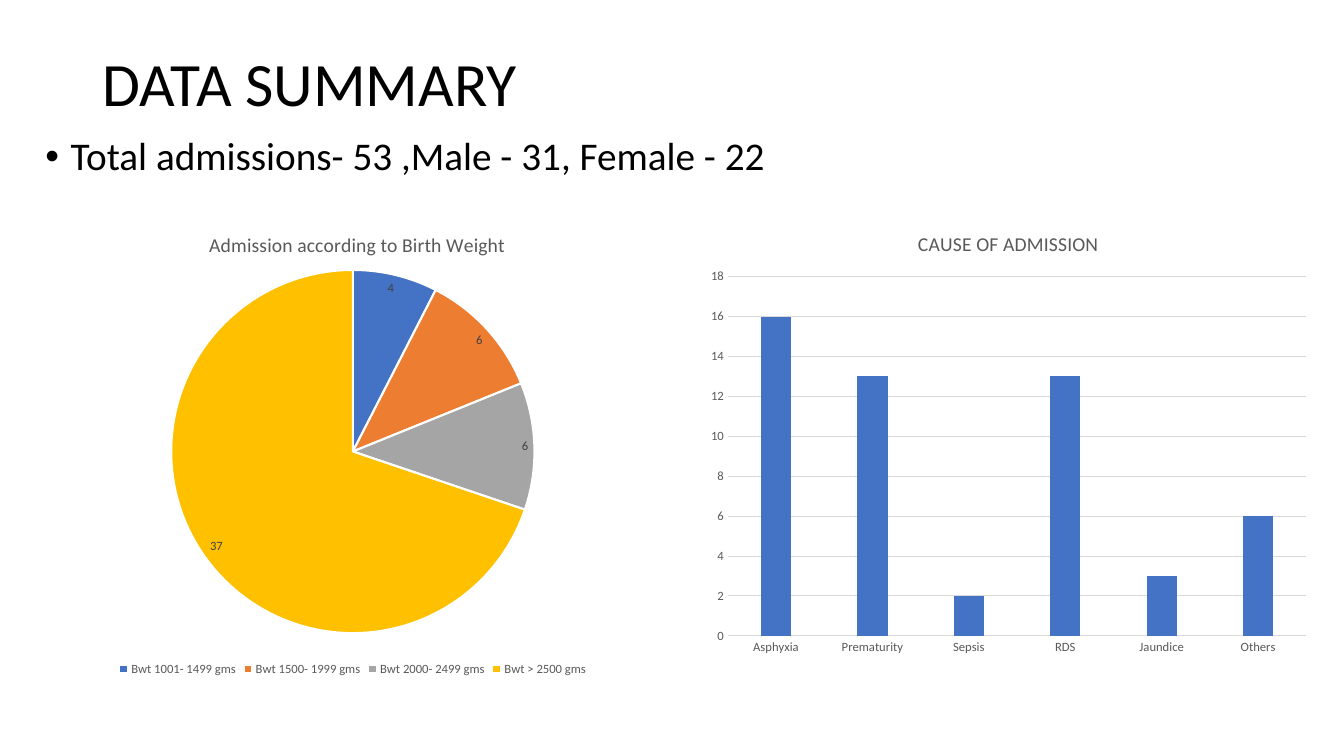
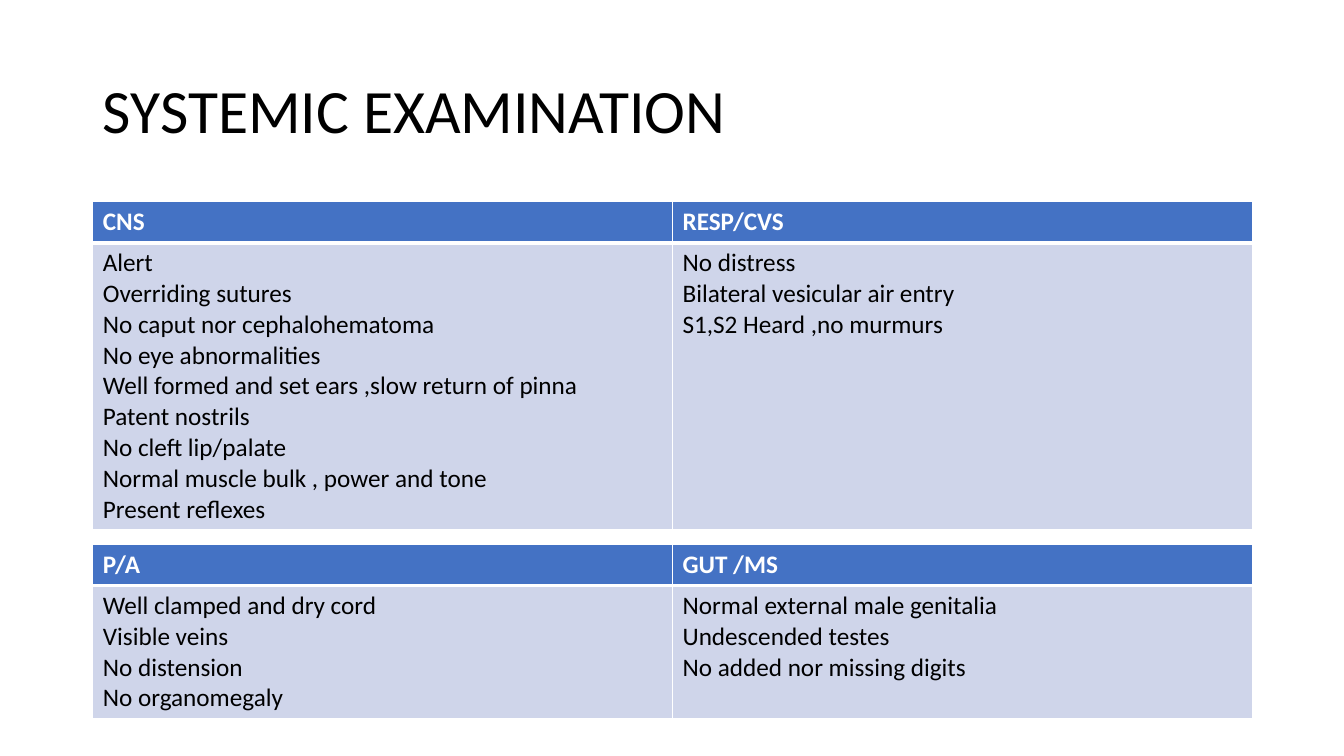
from dataclasses import dataclass

from lxml import etree
from pptx import Presentation
from pptx.chart.data import CategoryChartData
from pptx.dml.color import RGBColor
from pptx.enum.chart import XL_CHART_TYPE, XL_LABEL_POSITION, XL_LEGEND_POSITION, XL_TICK_MARK
from pptx.enum.text import MSO_ANCHOR, MSO_AUTO_SIZE, PP_ALIGN
from pptx.oxml.ns import qn
from pptx.util import Inches, Pt

PIE = XL_CHART_TYPE.PIE
COLUMN = XL_CHART_TYPE.COLUMN_CLUSTERED
INSIDE_END = XL_LABEL_POSITION.INSIDE_END
LEGEND_BOTTOM = XL_LEGEND_POSITION.BOTTOM
NO_TICK = XL_TICK_MARK.NONE
MIDDLE, TOP = MSO_ANCHOR.MIDDLE, MSO_ANCHOR.TOP
LEFT = PP_ALIGN.LEFT
NO_AUTOFIT = MSO_AUTO_SIZE.NONE
TITLE_AND_CONTENT, TITLE_ONLY = 1, 5


@dataclass(frozen=True)
class Theme:
    font: str = "Calibri"
    black: str = "000000"
    white: str = "FFFFFF"
    muted: str = "595959"
    label: str = "404040"
    grid: str = "D9D9D9"
    blue: str = "4472C4"
    pale: str = "CFD5EA"
    slices: tuple = ("4472C4", "ED7D31", "A5A5A5", "FFC000")
    title_size: int = 44
    body_size: int = 28
    table_size: int = 18
    chart_title_size: int = 14
    chart_size: int = 9


THEME = Theme()

SUMMARY_TITLE = "DATA SUMMARY"
SUMMARY_BULLET = "Total admissions- 53 ,Male - 31, Female - 22"
BIRTH_WEIGHT = {
    "title": "Admission according to Birth Weight",
    "box": (0.58, 2.07, 5.84, 4.68),
    "title_at": (0.25, 0.04),
    "plot": (0.19, 0.13, 0.62, 0.77),
    "values": {
        "Bwt 1001- 1499 gms": 4,
        "Bwt 1500- 1999 gms": 6,
        "Bwt 2000- 2499 gms": 6,
        "Bwt > 2500 gms": 37,
    },
}
ADMISSION_CAUSE = {
    "title": "CAUSE OF ADMISSION",
    "box": (6.91, 2.07, 6.17, 4.51),
    "title_at": (0.35, 0.04),
    "plot": (0.05, 0.15, 0.93, 0.79),
    "values": {
        "Asphyxia": 16,
        "Prematurity": 13,
        "Sepsis": 2,
        "RDS": 13,
        "Jaundice": 3,
        "Others": 6,
    },
}

EXAMINATION_TITLE = "SYSTEMIC EXAMINATION"
EXAMINATION_TABLES = [
    (2.0, 2.8, {
        "CNS": [
            "Alert",
            "Overriding sutures",
            "No caput nor cephalohematoma",
            "No eye abnormalities",
            "Well formed and set ears ,slow return of pinna",
            "Patent nostrils",
            "No cleft lip/palate",
            "Normal muscle bulk , power and tone",
            "Present reflexes",
        ],
        "RESP/CVS": [
            "No distress",
            "Bilateral vesicular air entry",
            "S1,S2 Heard ,no murmurs",
        ],
    }),
    (5.4, 1.3, {
        "P/A": [
            "Well clamped and dry cord",
            "Visible veins",
            "No distension",
            "No organomegaly",
        ],
        "GUT /MS": [
            "Normal external male genitalia",
            "Undescended testes",
            "No added nor missing digits",
        ],
    }),
]
MARGIN, CONTENT_WIDTH, HEADER_HEIGHT = 0.92, 11.5, 0.41


def rgb(value):
    return RGBColor.from_string(value)


def style_font(font, size, color, bold=False):
    font.name = THEME.font
    font.size = Pt(size)
    font.bold = bold
    font.color.rgb = rgb(color)


def add_text(paragraph, text, size, color, bold=False):
    run = paragraph.add_run()
    run.text = text
    style_font(run.font, size, color, bold)


def fill_placeholder(shape, box, text, size, anchor):
    shape.left, shape.top, shape.width, shape.height = map(Inches, box)
    frame = shape.text_frame
    frame.auto_size = NO_AUTOFIT
    frame.vertical_anchor = anchor
    paragraph = frame.paragraphs[0]
    paragraph.alignment = LEFT
    paragraph.line_spacing = 0.9
    add_text(paragraph, text, size, THEME.black)
    return paragraph


def add_slide(presentation, layout, title, title_height):
    slide = presentation.slides.add_slide(presentation.slide_layouts[layout])
    box = (MARGIN, 0.4, CONTENT_WIDTH, title_height)
    fill_placeholder(slide.shapes.title, box, title, THEME.title_size, MIDDLE)
    return slide


def place_chart_part(element, index, **settings):
    for old_layout in element.findall(qn("c:layout")):
        element.remove(old_layout)
    layout = etree.Element(qn("c:layout"))
    manual = etree.SubElement(layout, qn("c:manualLayout"))
    for name, value in settings.items():
        etree.SubElement(manual, qn(f"c:{name}")).set("val", str(value))
    element.insert(index, layout)


def add_chart(slide, chart_type, content):
    data = CategoryChartData()
    data.categories = list(content["values"])
    data.add_series("Series 1", list(content["values"].values()))
    frame = slide.shapes.add_chart(chart_type, *map(Inches, content["box"]), data)
    chart = frame.chart
    style_font(chart.font, THEME.chart_size, THEME.muted)
    chart.has_legend = False
    chart.has_title = True
    title = chart.chart_title
    add_text(title.text_frame.paragraphs[0], content["title"],
             THEME.chart_title_size, THEME.muted)
    left, top = content["title_at"]
    place_chart_part(title._element, 1, xMode="edge", yMode="edge", x=left, y=top)
    left, top, width, height = content["plot"]
    plot_area = chart._chartSpace.chart.plotArea
    place_chart_part(plot_area, 0, layoutTarget="inner", xMode="edge", yMode="edge",
                     x=left, y=top, w=width, h=height)
    return chart


def add_birth_weight_pie(slide):
    chart = add_chart(slide, PIE, BIRTH_WEIGHT)
    chart.has_legend = True
    chart.legend.position = LEGEND_BOTTOM
    chart.legend.include_in_layout = False
    style_font(chart.legend.font, THEME.chart_size, THEME.muted)
    plot = chart.plots[0]
    plot.vary_by_categories = True
    for index, color in enumerate(THEME.slices):
        slice_format = plot.series[0].points[index].format
        slice_format.fill.solid()
        slice_format.fill.fore_color.rgb = rgb(color)
        slice_format.line.color.rgb = rgb(THEME.white)
        slice_format.line.width = Pt(1.5)
    plot.has_data_labels = True
    labels = plot.data_labels
    labels.show_value = True
    labels.show_percentage = False
    labels.position = INSIDE_END
    style_font(labels.font, THEME.chart_size, THEME.label)


def add_cause_columns(slide):
    chart = add_chart(slide, COLUMN, ADMISSION_CAUSE)
    plot = chart.plots[0]
    plot.vary_by_categories = False
    plot.gap_width = 219
    plot.overlap = -27
    series = plot.series[0]
    series.invert_if_negative = False
    series.format.fill.solid()
    series.format.fill.fore_color.rgb = rgb(THEME.blue)
    for axis in (chart.category_axis, chart.value_axis):
        axis.major_tick_mark = axis.minor_tick_mark = NO_TICK
        style_font(axis.tick_labels.font, THEME.chart_size, THEME.muted)
    value_axis = chart.value_axis
    value_axis.minimum_scale, value_axis.maximum_scale = 0, 18
    value_axis.major_unit = 2
    value_axis.format.line.fill.background()
    for line in (chart.category_axis.format.line, value_axis.major_gridlines.format.line):
        line.color.rgb = rgb(THEME.grid)
        line.width = Pt(0.75)


def set_borders(cell, bottom_width):
    properties = cell._tc.get_or_add_tcPr()
    widths = {"lnL": 1, "lnR": 1, "lnT": 1, "lnB": bottom_width}
    for index, (side, width) in enumerate(widths.items()):
        line = etree.Element(qn(f"a:{side}"), w=str(Pt(width)))
        fill = etree.SubElement(line, qn("a:solidFill"))
        etree.SubElement(fill, qn("a:srgbClr"), val=THEME.white)
        properties.insert(index, line)


def fill_cell(cell, lines, is_header):
    cell.fill.solid()
    cell.fill.fore_color.rgb = rgb(THEME.blue if is_header else THEME.pale)
    set_borders(cell, 3 if is_header else 1)
    frame = cell.text_frame
    color = THEME.white if is_header else THEME.black
    for index, text in enumerate(lines):
        paragraph = frame.add_paragraph() if index else frame.paragraphs[0]
        add_text(paragraph, text, THEME.table_size, color, is_header)


def add_findings_table(slide, top, body_height, findings):
    heights = (HEADER_HEIGHT, body_height)
    box = (MARGIN, top, CONTENT_WIDTH, sum(heights))
    table = slide.shapes.add_table(2, len(findings), *map(Inches, box)).table
    for row, height in zip(table.rows, heights):
        row.height = Inches(height)
    for column, (system, lines) in enumerate(findings.items()):
        table.columns[column].width = Inches(CONTENT_WIDTH / len(findings))
        fill_cell(table.cell(0, column), [system], True)
        fill_cell(table.cell(1, column), lines, False)


def build_summary(presentation):
    slide = add_slide(presentation, TITLE_AND_CONTENT, SUMMARY_TITLE, 0.91)
    bullet = fill_placeholder(slide.placeholders[1], (0.35, 1.31, 12.83, 5.96),
                              SUMMARY_BULLET, THEME.body_size, TOP)
    bullet.space_before = Pt(10)
    properties = bullet._p.get_or_add_pPr()
    properties.set("marL", str(Inches(0.25)))
    properties.set("indent", str(Inches(-0.25)))
    add_birth_weight_pie(slide)
    add_cause_columns(slide)


def build_examination(presentation):
    slide = add_slide(presentation, TITLE_ONLY, EXAMINATION_TITLE, 1.45)
    for top, body_height, findings in EXAMINATION_TABLES:
        add_findings_table(slide, top, body_height, findings)


def main():
    presentation = Presentation()
    presentation.slide_width = Inches(13.33)
    presentation.slide_height = Inches(7.5)
    build_summary(presentation)
    build_examination(presentation)
    presentation.save("out.pptx")


if __name__ == "__main__":
    main()
